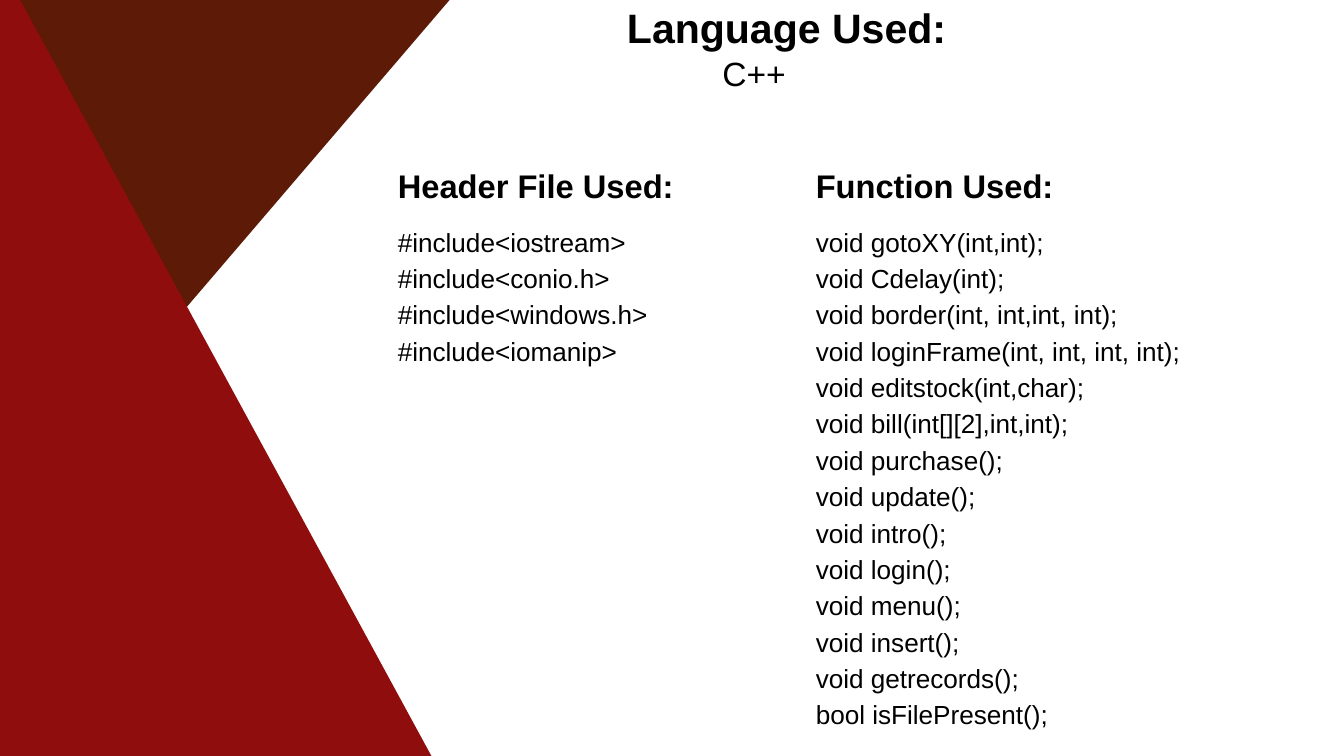
from pptx import Presentation
from pptx.dml.color import RGBColor
from pptx.enum.text import MSO_ANCHOR, MSO_AUTO_SIZE, PP_ALIGN
from pptx.util import Inches, Pt

FONT = "Arial"
COLORS = {"text": "000000", "brown": "5C1A07", "red": "8F0D0D", "bg": "FFFFFF"}

# Content
TITLE = "Language Used:"
LANGUAGE = "C++"
COLUMNS = [
    ((5.91, 2.46, 4.83, 3.03), "Header File Used:", [
        "#include<iostream>",
        "#include<conio.h>",
        "#include<windows.h>",
        "#include<iomanip>",
    ]),
    ((12.13, 2.46, 5.84, 8.43), "Function Used:", [
        "void gotoXY(int,int);",
        "void Cdelay(int);",
        "void border(int, int,int, int);",
        "void loginFrame(int, int, int, int);",
        "void editstock(int,char);",
        "void bill(int[][2],int,int);",
        "void purchase();",
        "void update();",
        "void intro();",
        "void login();",
        "void menu();",
        "void insert();",
        "void getrecords();",
        "bool isFilePresent();",
    ]),
]
TRIANGLES = [
    ("brown", [(2.11, 5.35), (0.15, 0), (6.69, 0)]),
    ("red", [(6.42, 11.25), (0, 11.25), (0, 0), (0.3, 0)]),
]


def rgb(name):
    return RGBColor.from_string(COLORS[name])


def setup_frame(sp, box):
    sp.left, sp.top, sp.width, sp.height = (Inches(v) for v in box)
    tf = sp.text_frame
    tf.word_wrap = True
    tf.auto_size = MSO_AUTO_SIZE.SHAPE_TO_FIT_TEXT
    tf.vertical_anchor = MSO_ANCHOR.TOP
    tf.margin_left = Inches(0.01)
    tf.margin_top = Inches(0.01)
    tf.margin_right = tf.margin_bottom = 0
    return tf


def add_text(p, text, size, bold=False):
    p.alignment = PP_ALIGN.LEFT
    r = p.add_run()
    r.text = text
    r.font.name = FONT
    r.font.size = Pt(size)
    r.font.bold = bold
    r.font.color.rgb = rgb("text")


prs = Presentation()
prs.slide_width, prs.slide_height = Inches(20), Inches(11.25)
s = prs.slides.add_slide(prs.slide_layouts[5])
s.background.fill.solid()
s.background.fill.fore_color.rgb = rgb("bg")

# Title and language
tf = setup_frame(s.shapes.title, (9.32, 0.02, 8.11, 0.75))
add_text(tf.paragraphs[0], TITLE, 44, bold=True)

language = s.shapes.add_textbox(0, 0, 0, 0)
tf = setup_frame(language, (10.74, 0.78, 2.49, 0.62))
add_text(tf.paragraphs[0], LANGUAGE, 36)

# Side decoration
for color, points in TRIANGLES:
    start, *rest = [(Inches(x), Inches(y)) for x, y in points]
    builder = s.shapes.build_freeform(*start)
    builder.add_line_segments(rest, close=True)
    sp = builder.convert_to_shape()
    sp.shadow.inherit = False
    sp.fill.solid()
    sp.fill.fore_color.rgb = rgb(color)
    sp.line.fill.background()

# Columns of code lines under a heading
for box, heading, lines in COLUMNS:
    tf = setup_frame(s.shapes.add_textbox(0, 0, 0, 0), box)
    add_text(tf.paragraphs[0], heading, 35, bold=True)
    for i, line in enumerate(lines):
        p = tf.add_paragraph()
        p.line_spacing = 1.16
        p.space_before = Pt(16.9 if i == 0 else 0)
        add_text(p, line, 28)

prs.save("out.pptx")
